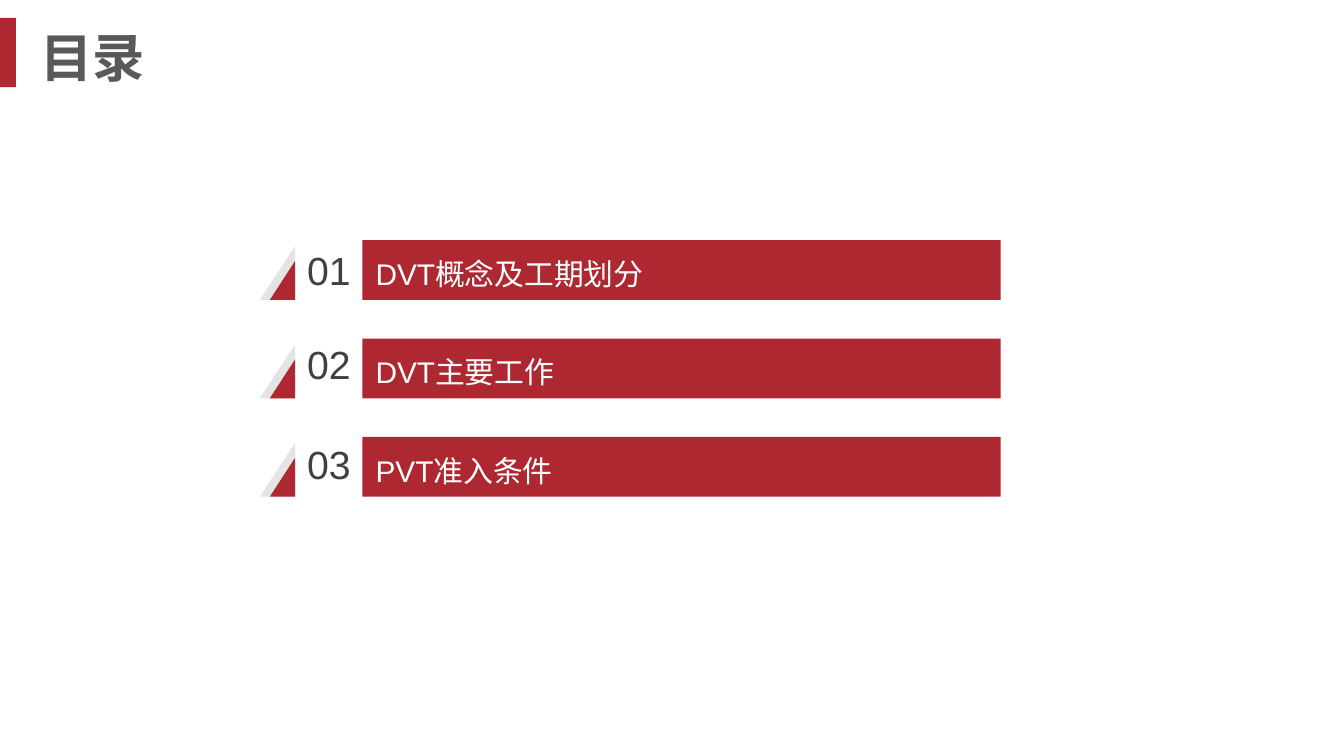
from dataclasses import dataclass

import pptx
import pptx.dml.color
import pptx.enum.shapes
import pptx.enum.text
import pptx.util
from pptx.util import Cm

RED = pptx.dml.color.RGBColor(0xAD, 0x28, 0x30)
PALE_GREY = pptx.dml.color.RGBColor(0xE4, 0xE4, 0xE4)
DARK_GREY = pptx.dml.color.RGBColor(0x40, 0x40, 0x40)
TITLE_GREY = pptx.dml.color.RGBColor(0x59, 0x59, 0x59)
WHITE = pptx.dml.color.RGBColor(0xFF, 0xFF, 0xFF)

ALIGN = pptx.enum.text.PP_ALIGN
ANCHOR = pptx.enum.text.MSO_ANCHOR

# Agenda grid, in centimetres
FIRST_TOP, PITCH, BAR_HEIGHT = 4.54, 1.86, 1.13
GREY_LEFT, RED_LEFT, NUMBER_LEFT, BAR_LEFT, BAR_RIGHT = 4.91, 5.1, 5.58, 6.85, 18.91
GREY_DROP, RED_DROP = 0.11, 0.39


@dataclass
class AgendaItem:
    number: str
    heading: str
    number_lift: float = 0


@dataclass
class TextStyle:
    size: float
    color: pptx.dml.color.RGBColor
    bold: bool = False
    align: ALIGN = ALIGN.LEFT
    anchor: ANCHOR = ANCHOR.MIDDLE
    line_spacing: float = 1.0
    side_inset: float = 0.25
    end_inset: float = 0.13


TITLE = TextStyle(28, TITLE_GREY, bold=True, anchor=ANCHOR.TOP)
NUMBER = TextStyle(21, DARK_GREY, align=ALIGN.CENTER, side_inset=0, end_inset=0)
HEADING = TextStyle(16, WHITE, line_spacing=1.2)

ITEMS = [
    AgendaItem("01", "DVT概念及工期划分"),
    AgendaItem("02", "DVT主要工作", 0.08),
    AgendaItem("03", "PVT准入条件", 0.05),
]


def set_all(target: object, values: dict) -> None:
    for name, value in values.items():
        setattr(target, name, value)


def paint(shape, color: pptx.dml.color.RGBColor) -> None:
    shape.shadow.inherit = False
    shape.fill.solid()
    shape.fill.fore_color.rgb = color
    shape.line.fill.background()


def add_text(page, text: str, left: float, top: float, width: float,
             height: float, style: TextStyle) -> None:
    box = page.shapes.add_textbox(Cm(left), Cm(top), Cm(width), Cm(height))
    side, end = Cm(style.side_inset), Cm(style.end_inset)
    set_all(box.text_frame, {
        "word_wrap": True, "vertical_anchor": style.anchor,
        "margin_left": side, "margin_right": side,
        "margin_top": end, "margin_bottom": end,
    })
    para = box.text_frame.paragraphs[0]
    set_all(para, {"alignment": style.align, "line_spacing": style.line_spacing})
    span = para.add_run()
    span.text = text
    set_all(span.font, {"name": "Arial", "size": pptx.util.Pt(style.size),
                        "bold": style.bold})
    span.font.color.rgb = style.color


def add_outline(page, contours: list[list[tuple[float, float]]],
                color: pptx.dml.color.RGBColor) -> None:
    """Draw closed contours, given in centimetres, as one shape."""
    first, *others = [[(Cm(x), Cm(y)) for x, y in contour] for contour in contours]
    builder = page.shapes.build_freeform(*first[0])
    builder.add_line_segments(first[1:])
    for contour in others:
        builder.move_to(*contour[0])
        builder.add_line_segments(contour[1:])
    paint(builder.convert_to_shape(), color)


def triangle(left: float, top: float, bottom: float) -> list[tuple[float, float]]:
    return [(NUMBER_LEFT, top), (NUMBER_LEFT, bottom), (left, bottom)]


def add_item(page, item: AgendaItem, top: float) -> None:
    bottom = top + BAR_HEIGHT
    bar = [(BAR_LEFT, top), (BAR_RIGHT, top), (BAR_RIGHT, bottom), (BAR_LEFT, bottom)]
    add_outline(page, [triangle(GREY_LEFT, top + GREY_DROP, bottom)], PALE_GREY)
    add_outline(page, [triangle(RED_LEFT, top + RED_DROP, bottom), bar], RED)
    add_text(page, item.number, NUMBER_LEFT, top - item.number_lift,
             BAR_LEFT - NUMBER_LEFT, BAR_HEIGHT, NUMBER)
    add_text(page, item.heading, BAR_LEFT, top, BAR_RIGHT - BAR_LEFT,
             BAR_HEIGHT, HEADING)


def main() -> None:
    deck = pptx.Presentation()
    set_all(deck, {"slide_width": Cm(25.4), "slide_height": Cm(14.29)})
    page = deck.slides.add_slide(deck.slide_layouts[6])

    # Title with its red marker
    marker = page.shapes.add_shape(pptx.enum.shapes.MSO_SHAPE.RECTANGLE,
                                   Cm(0), Cm(0.34), Cm(0.3), Cm(1.31))
    paint(marker, RED)
    add_text(page, "目录", 0.51, 0.34, 21, 1.31, TITLE)

    # Agenda rows
    for index, item in enumerate(ITEMS):
        add_item(page, item, FIRST_TOP + index * PITCH)

    deck.save("out.pptx")


if __name__ == "__main__":
    main()
